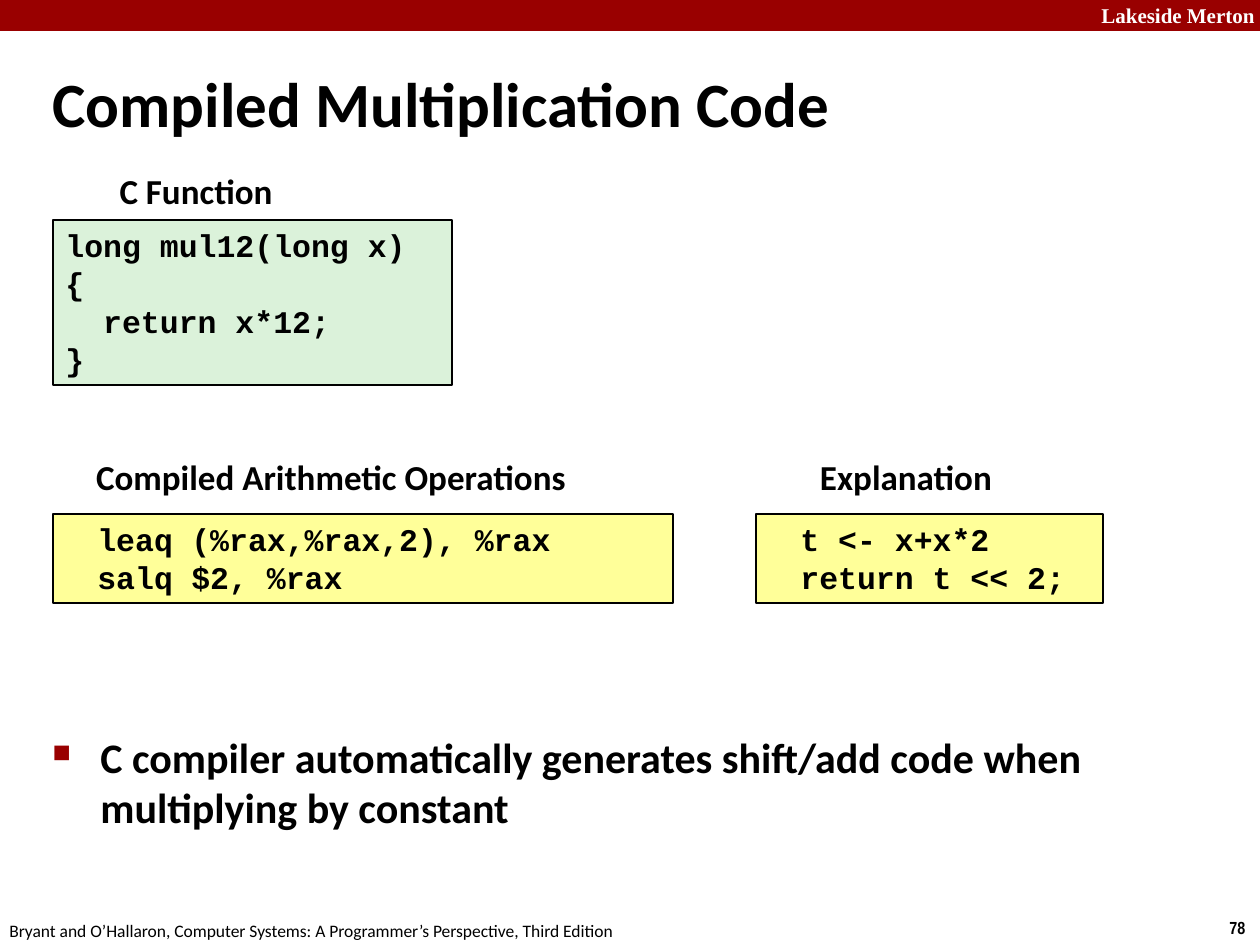
import dataclasses

import lxml.etree
import pptx
import pptx.dml.color
import pptx.enum.shapes
import pptx.enum.text
import pptx.oxml.ns
import pptx.util

DPI = 126
BLACK, WHITE, RED = "000000", "FFFFFF", "990000"
GREEN, YELLOW = "DBF2DA", "FFFF99"
SANS, MONO = "Calibri", "Courier New"
ALIGN = pptx.enum.text.PP_ALIGN
ANCHOR = pptx.enum.text.MSO_ANCHOR


@dataclasses.dataclass
class Box:
    left: int
    top: int
    width: int
    height: int


@dataclasses.dataclass
class Code:
    box: Box
    fill: str
    lines: list[str]
    tab: int = 0


@dataclasses.dataclass
class Label:
    box: Box
    text: str


CODES = [
    Code(Box(53, 220, 399, 165), GREEN,
         ["long mul12(long x)", "{", "  return x*12;", "}"]),
    Code(Box(53, 514, 620, 89), YELLOW,
         ["\tleaq\t(%rax,%rax,2), %rax", "\tsalq\t$2, %rax"], 32),
    Code(Box(756, 514, 347, 89), YELLOW,
         ["\tt <- x+x*2", "\treturn t << 2;"], 32),
]
LABELS = [
    Label(Box(112, 163, 168, 55), "C Function"),
    Label(Box(88, 449, 486, 55), "Compiled Arithmetic Operations"),
    Label(Box(813, 449, 186, 55), "Explanation"),
]


def px(n: int) -> int:
    return round(n * 914400 / DPI)


def color(code: str) -> pptx.dml.color.RGBColor:
    return pptx.dml.color.RGBColor.from_string(code)


def place(shape, box: Box) -> None:
    shape.left, shape.top = px(box.left), px(box.top)
    shape.width, shape.height = px(box.width), px(box.height)


def add(parent, tag: str, **attrs: str):
    node = lxml.etree.SubElement(parent, pptx.oxml.ns.qn(tag))
    for key, val in attrs.items():
        node.set(key, val)
    return node


def write(shape, *lines: str, size: int, font: str = SANS, ink: str = BLACK,
          bold: bool = True, align=ALIGN.LEFT, anchor=ANCHOR.TOP,
          wrap: bool = True, pad: int | None = None, hang: int = 0,
          tab: int = 0) -> None:
    frame = shape.text_frame
    frame.auto_size = pptx.enum.text.MSO_AUTO_SIZE.NONE
    frame.word_wrap = wrap
    frame.vertical_anchor = anchor
    if pad is not None:
        frame.margin_left = frame.margin_right = px(pad)
        frame.margin_top = frame.margin_bottom = px(pad)
    frame.text = "\n".join(lines)
    for para in frame.paragraphs:
        para.alignment = align
        props = para._p.get_or_add_pPr()
        if hang:
            props.set("marL", str(px(hang)))
            props.set("indent", str(-px(hang)))
        if tab:
            stops = add(props, "a:tabLst")
            add(stops, "a:tab", pos=str(px(tab)), algn="l")
        for run in para.runs:
            run.font.name, run.font.size = font, pptx.util.Pt(size)
            run.font.bold = bold
            run.font.color.rgb = color(ink)


def bullet(para) -> None:
    props = para._p.get_or_add_pPr()
    add(add(props, "a:buClr"), "a:srgbClr", val=RED)
    add(props, "a:buSzPct", val="60000")
    add(props, "a:buChar", char="■")


def text(slide, box: Box, *lines: str, **style):
    shape = slide.shapes.add_textbox(0, 0, 0, 0)
    place(shape, box)
    write(shape, *lines, **style)
    return shape


def rect(slide, box: Box, fill: str, line: str | None = None):
    kind = pptx.enum.shapes.MSO_SHAPE.RECTANGLE
    shape = slide.shapes.add_shape(kind, 0, 0, 0, 0)
    place(shape, box)
    shape.shadow.inherit = False
    shape.fill.solid()
    shape.fill.fore_color.rgb = color(fill)
    if line:
        shape.line.color.rgb = color(line)
        shape.line.width = pptx.util.Pt(1)
    else:
        shape.line.fill.background()
    return shape


def main() -> None:
    deck = pptx.Presentation()
    deck.slide_width, deck.slide_height = px(1260), px(945)
    slide = deck.slides.add_slide(deck.slide_layouts[5])

    # Top band and footer
    rect(slide, Box(0, 0, 1260, 31), RED)
    text(slide, Box(1089, -4, 180, 38), "Lakeside Merton", size=12,
         font="Times New Roman", ink=WHITE)
    text(slide, Box(1217, 911, 43, 34), "78", size=10,
         font="Arial Narrow", wrap=False)
    text(slide, Box(-3, 914, 640, 34),
         "Bryant and O’Hallaron, Computer Systems: "
         "A Programmer’s Perspective, Third Edition",
         size=10, bold=False, wrap=False)

    # Title
    title = slide.shapes.title
    place(title, Box(40, 63, 988, 79))
    write(title, "Compiled Multiplication Code", size=36,
          anchor=ANCHOR.MIDDLE, hang=16)

    # Code boxes and their labels
    for code in CODES:
        shape = rect(slide, code.box, code.fill, BLACK)
        write(shape, *code.lines, size=18, font=MONO, tab=code.tab)
    for label in LABELS:
        text(slide, label.box, label.text, size=20, align=ALIGN.CENTER,
             wrap=False, pad=6)

    # Conclusion
    note = text(slide, Box(40, 725, 1145, 164),
                "C compiler automatically generates shift/add code when "
                "multiplying by constant", size=24, hang=48)
    bullet(note.text_frame.paragraphs[0])

    deck.save("out.pptx")


if __name__ == "__main__":
    main()
